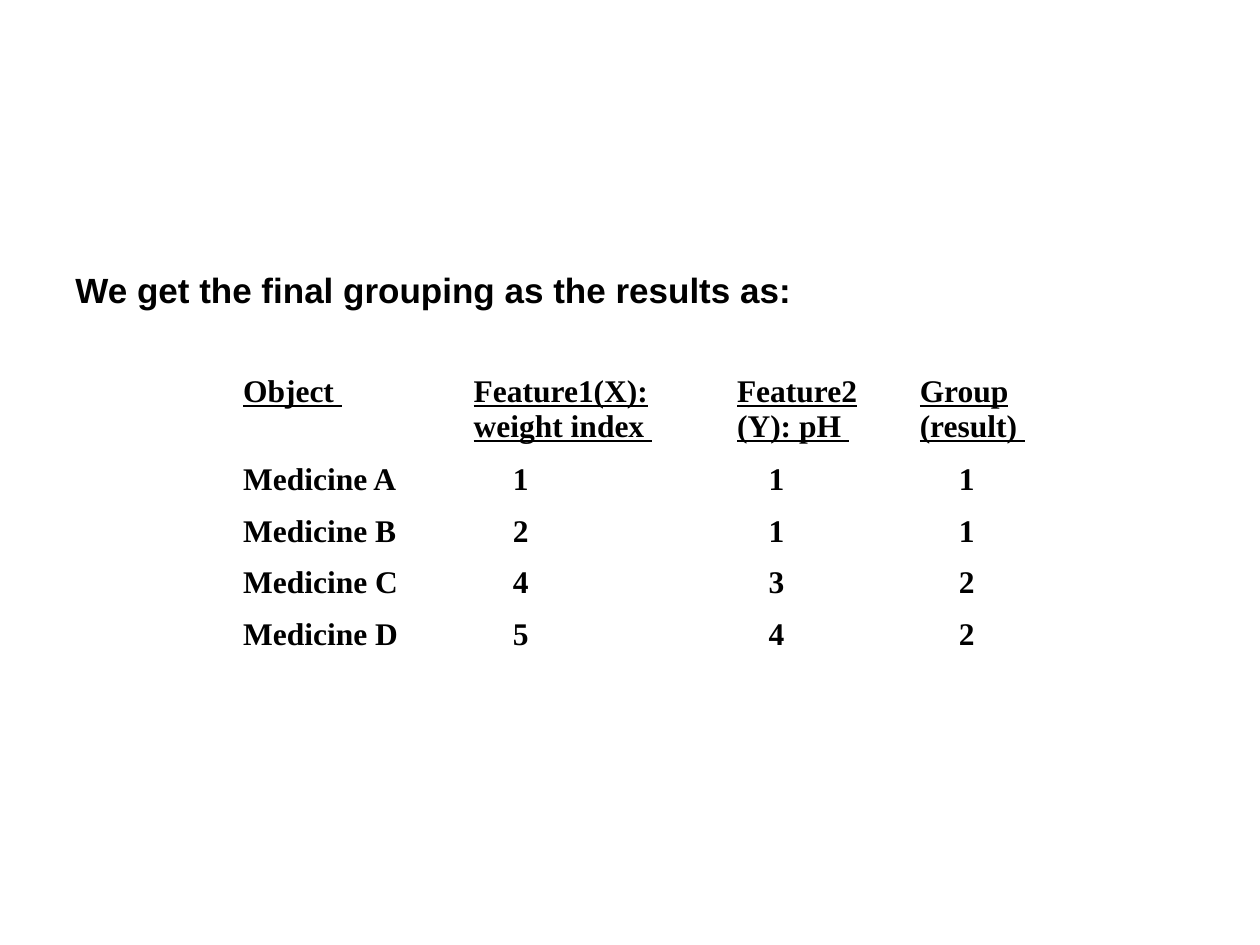
from dataclasses import dataclass

from pptx import Presentation, util as u
from pptx.dml.color import RGBColor
from pptx.enum import text


@dataclass(frozen=True)
class Theme:
    ink: RGBColor = RGBColor(0, 0, 0)
    heading_font: str = "Arial"
    heading_size: int = 20
    table_font: str = "Times New Roman"
    table_size: int = 18


@dataclass(frozen=True)
class Column:
    header: str
    width: float
    values: tuple[str, ...]
    indent: float = 0


THEME = Theme()
SLIDE_WIDTH, SLIDE_HEIGHT = 10, 7.5
CELL_MARGIN = 0.1
HEADER_HEIGHT, ROW_HEIGHT = 0.7, 0.41

COLUMNS = (
    Column("Object ", 1.83, tuple(f"Medicine {letter}" for letter in "ABCD")),
    Column("Feature1(X):\nweight index ", 2.09, ("1", "2", "4", "5"), 0.31),
    Column("Feature2\n(Y): pH ", 1.45, ("1", "1", "3", "4"), 0.25),
    Column("Group\n(result) ", 1.63, ("1", "1", "2", "2"), 0.31),
)


def write(frame, content: str, *, font: str, size: int,
          underline: bool = False, align=text.PP_ALIGN.LEFT) -> None:
    """Fill a text frame with one bold paragraph per line of content."""
    frame.word_wrap = True
    for index, line in enumerate(content.split("\n")):
        paragraph = frame.add_paragraph() if index else frame.paragraphs[0]
        paragraph.alignment = align
        run = paragraph.add_run()
        run.text = line
        run.font.name = font
        run.font.size = u.Pt(size)
        run.font.bold = True
        run.font.underline = underline
        run.font.color.rgb = THEME.ink


def add_heading(slide, content: str) -> None:
    box = slide.shapes.add_textbox(
        u.Inches(0.05 * SLIDE_WIDTH), u.Inches(2.08),
        u.Inches(0.8 * SLIDE_WIDTH), u.Inches(0.44))
    write(box.text_frame, content, font=THEME.heading_font, size=THEME.heading_size)
    box.text_frame.auto_size = text.MSO_AUTO_SIZE.SHAPE_TO_FIT_TEXT


def add_results(slide, columns: tuple[Column, ...]) -> None:
    heights = [HEADER_HEIGHT] + [ROW_HEIGHT] * len(columns[0].values)
    table = slide.shapes.add_table(
        len(heights), len(columns), u.Inches(1.83), u.Inches(2.92),
        u.Inches(sum(column.width for column in columns)),
        u.Inches(sum(heights))).table
    table.first_row = table.horz_banding = False
    for row, height in zip(table.rows, heights):
        row.height = u.Inches(height)
    for column_index, column in enumerate(columns):
        table.columns[column_index].width = u.Inches(column.width)
        for row_index, content in enumerate((column.header, *column.values)):
            is_header = row_index == 0
            cell = table.cell(row_index, column_index)
            cell.fill.background()
            cell.margin_left = u.Inches(CELL_MARGIN + (0 if is_header else column.indent))
            write(cell.text_frame, content, font=THEME.table_font,
                  size=THEME.table_size, underline=is_header,
                  align=text.PP_ALIGN.JUSTIFY)


def main() -> None:
    presentation = Presentation()
    presentation.slide_width = u.Inches(SLIDE_WIDTH)
    presentation.slide_height = u.Inches(SLIDE_HEIGHT)
    slide = presentation.slides.add_slide(presentation.slide_layouts[6])
    add_results(slide, COLUMNS)
    add_heading(slide, "We get the final grouping as the results as:")
    presentation.save("out.pptx")


if __name__ == "__main__":
    main()
